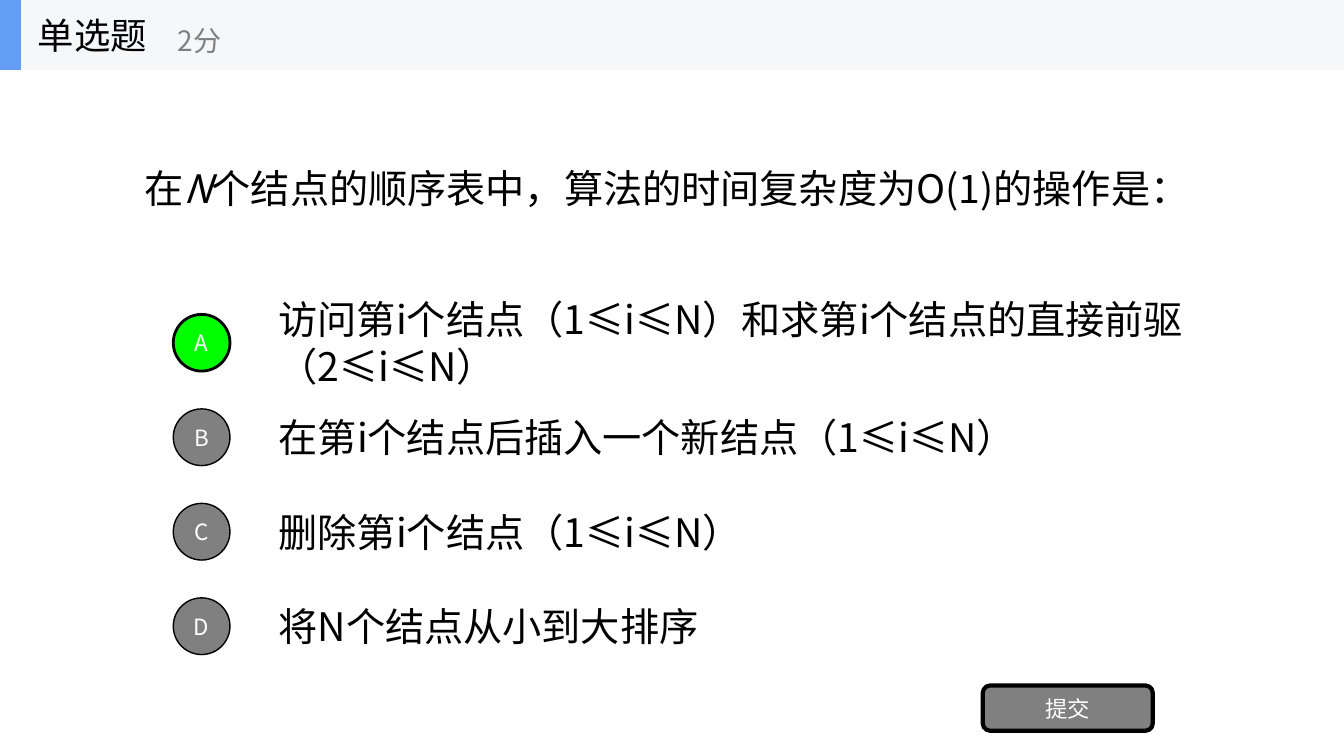
from pptx import Presentation
from pptx.dml.color import RGBColor
from pptx.enum.shapes import MSO_SHAPE as Preset
from pptx.enum.text import MSO_ANCHOR as Anchor, PP_ALIGN as Align
from pptx.oxml.ns import qn
from pptx.util import Pt

FONT = "Noto Sans CJK SC"
BLACK, WHITE, GRAY = "000000", "FFFFFF", "808080"
SELECTED, HEADER_FILL, ACCENT = "00FF00", "F6F7F8", "639EF4"

QUESTION = [("在", False), ("N", True),
            ("个结点的顺序表中，算法的时间复杂度为O(1)的操作是：", False)]
OPTIONS = [
    ("A", "访问第i个结点（1≤i≤N）和求第i个结点的直接前驱（2≤i≤N）"),
    ("B", "在第i个结点后插入一个新结点（1≤i≤N）"),
    ("C", "删除第i个结点（1≤i≤N）"),
    ("D", "将N个结点从小到大排序"),
]
ANSWER = "A"


def color(hex_value):
    return RGBColor.from_string(hex_value)


def write(shape, runs, size, text_color, align=Align.LEFT):
    frame = shape.text_frame
    frame.word_wrap = True
    frame.vertical_anchor = Anchor.MIDDLE
    paragraph = frame.paragraphs[0]
    paragraph.alignment = align
    for text, italic in runs:
        run = paragraph.add_run()
        run.text = text
        run.font.name = FONT
        run.font.size = Pt(size)
        run.font.italic = italic
        run.font.color.rgb = color(text_color)
        properties = run.font._element
        east_asian = properties.makeelement(qn("a:ea"), {"typeface": FONT})
        properties.find(qn("a:latin")).addnext(east_asian)


def add_text(shapes, box, runs, size, text_color=BLACK):
    write(shapes.add_textbox(*map(Pt, box)), runs, size, text_color)


def add_block(shapes, preset, box, fill, line_width=0):
    shape = shapes.add_shape(preset, *map(Pt, box))
    shape.shadow.inherit = False
    shape.fill.solid()
    shape.fill.fore_color.rgb = color(fill)
    if line_width:
        shape.line.color.rgb = color(BLACK)
        shape.line.width = Pt(line_width)
    else:
        shape.line.fill.background()
    return shape


def add_header(slide, left, top, width, height):
    shapes = slide.shapes.add_group_shape().shapes
    add_block(shapes, Preset.RECTANGLE, (left, top, width, height), HEADER_FILL)
    add_block(shapes, Preset.RECTANGLE, (left, top, 15, height), ACCENT)
    add_text(shapes, (left + 20, top, 150, height), [("单选题", False)], 26)
    add_text(shapes, (left + 120, top + 9, 180, 40), [("2分", False)], 20, GRAY)


def add_options(slide, left, top, width, height):
    pitch = height / len(OPTIONS)
    text_height, diameter, text_offset = 50.6, 40.5, 68.25
    for index, (letter, text) in enumerate(OPTIONS):
        row_top = top + index * pitch
        text_box = (left + text_offset, row_top, width - text_offset, text_height)
        add_text(slide.shapes, text_box, [(text, False)], 28)
        chosen = letter == ANSWER
        circle_top = row_top + (text_height - diameter) / 2
        circle = add_block(slide.shapes, Preset.OVAL,
                           (left, circle_top, diameter, diameter),
                           SELECTED if chosen else GRAY, 2 if chosen else 1)
        write(circle, [(letter, False)], 16, WHITE, Align.CENTER)


def add_submit_button(slide, left, top, width, height):
    button = add_block(slide.shapes, Preset.ROUNDED_RECTANGLE,
                       (left, top, width, height), GRAY, 3)
    write(button, [("提交", False)], 16, WHITE, Align.CENTER)


def main():
    presentation = Presentation()
    presentation.slide_width = Pt(960)
    presentation.slide_height = Pt(540)
    slide = presentation.slides.add_slide(presentation.slide_layouts[6])
    add_text(slide.shapes, (96, 50, 768, 168.75), QUESTION, 28)
    add_options(slide, 123.75, 219.5, 740.25, 270)
    add_submit_button(slide, 702, 489.6, 121.5, 32.4)
    add_header(slide, 0, 0, 960, 50)
    presentation.save("out.pptx")


if __name__ == "__main__":
    main()
